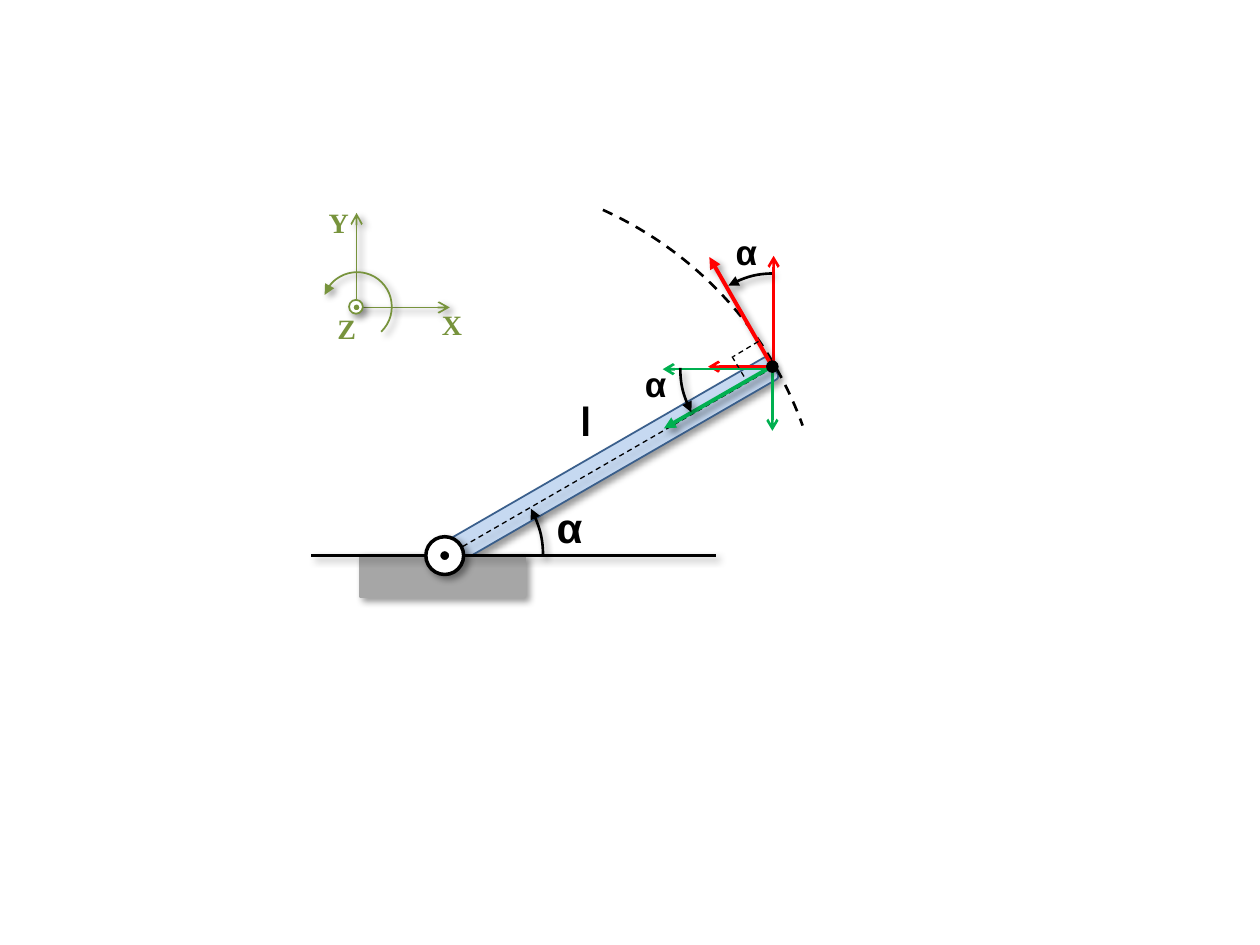
"""Build a slide of a swinging arm with its tangential and radial vectors."""
from lxml import etree
from pptx import Presentation
from pptx.dml.color import RGBColor
from pptx.enum.dml import MSO_LINE
from pptx.enum.shapes import MSO_CONNECTOR, MSO_SHAPE
from pptx.enum.text import MSO_AUTO_SIZE
from pptx.oxml.ns import qn
from pptx.util import Pt

PX = 9144
DASH = MSO_LINE.DASH
STRAIGHT = MSO_CONNECTOR.STRAIGHT
ARC, OVAL, RECT, ROUNDED = (
    MSO_SHAPE.ARC, MSO_SHAPE.OVAL, MSO_SHAPE.RECTANGLE, MSO_SHAPE.ROUNDED_RECTANGLE)
LINE, TEXT = "line", "text"

THEME = {
    "black": "000000", "white": "FFFFFF", "ground": "A6A6A6",
    "arm": "C6D9F1", "arm_edge": "3A5F8C",
    "red": "FF0000", "green": "00B050", "axis": "77933C",
    "hair": 0.75, "thin": 1, "medium": 1.5, "heavy": 2, "vector": 2.25,
    "large": 24, "angle": 20, "small": 16,
}

SHADE = {"shadow": True}
BLACK = {"ink": "black", "width": "medium"}
HAIR = {"ink": "black", "width": "hair", "dash": DASH}
ANGLE = {**BLACK, **SHADE, "head": "triangle"}
COMPONENT = {"width": "medium", "tail": "arrow"}
VECTOR = {"width": "vector", "tail": "triangle", **SHADE}
AXIS = {"ink": "axis", "width": "thin", **SHADE}
BIG_ALPHA = {"text": "α", "size": "large", "face": "Arial", "ink": "black"}
ALPHA = {**BIG_ALPHA, "size": "angle"}
AXIS_NAME = {"size": "small", "face": "Times New Roman", "ink": "axis"}

arm = [
    (ROUNDED, (474, 216, 20, 300),
     {"fill": "arm", "ink": "arm_edge", "width": "thin", "turn": 60, **SHADE}),
    (ARC, (55, 140, 600, 600), {**BLACK, "dash": DASH, "angles": (294.32, 340.08)}),
    (RECT, (286, 441, 130, 32),
     {"fill": "ground", "ink": "ground", "width": "heavy", **SHADE}),
    (LINE, (247, 441, 568, 441), {**BLACK, **SHADE}),
    (TEXT, (432, 393, 41, 50), BIG_ALPHA),
    (TEXT, (451, 308, 35, 50), {**BIG_ALPHA, "text": "l", "face": "Calibri"}),
    (LINE, (613, 292, 353, 442), {**HAIR, **SHADE}),
]
hinge = [
    (OVAL, (338, 426, 30, 30),
     {"fill": "white", "ink": "black", "width": "heavy", **SHADE}),
    (OVAL, (348, 436, 10, 10), {"fill": "black", "ink": "white", "width": "heavy"}),
]
tangential = [
    (LINE, (612, 291, 562, 291), {**COMPONENT, "ink": "red"}),
    (LINE, (614, 290, 614, 203), {**COMPONENT, "ink": "red"}),
    (LINE, (613, 291, 563, 204), {**VECTOR, "ink": "red"}),
    (ARC, (540, 217, 150, 150), {**ANGLE, "angles": (240.54, 268.18)}),
    (TEXT, (574, 178, 38, 44), ALPHA),
]
right_angle = [
    (LINE, (602, 271, 582, 283), HAIR),
    (LINE, (581, 283, 593, 303), HAIR),
]
radial = [
    (LINE, (613, 293, 526, 293), {**COMPONENT, "ink": "green"}),
    (LINE, (613, 292, 613, 342), {**COMPONENT, "ink": "green"}),
    (LINE, (614, 290, 527, 340), {**VECTOR, "ink": "green"}),
    (ARC, (540, 217, 150, 150), {**ANGLE, "angles": (152, 179.93)}),
    (TEXT, (502, 283, 38, 44), ALPHA),
    (OVAL, (608, 286, 10, 10), {"fill": "black"}),
    (ARC, (274, 363, 157, 157), {**ANGLE, "angles": (331.26, 0)}),
]
axes = [
    (LINE, (283, 244, 357, 244), {**AXIS, "tail": "arrow"}),
    (LINE, (283, 243, 283, 169), {**AXIS, "tail": "arrow"}),
    (OVAL, (277, 238, 11, 11), {**AXIS, "fill": "white"}),
    (OVAL, (280, 241, 6, 6), {"fill": "axis", "ink": "white", "width": "thin"}),
    (TEXT, (251, 158, 36, 37), {**AXIS_NAME, "text": "Y"}),
    (TEXT, (341, 239, 36, 37), {**AXIS_NAME, "text": "X"}),
    (TEXT, (258, 242, 35, 37), {**AXIS_NAME, "text": "Z"}),
    (ARC, (256, 216, 55, 55), {**AXIS, "head": "triangle", "angles": (200.1, 46.18)}),
]
layers = [(arm, False), (hinge, True), (tangential, False),
          (right_angle, True), (radial, False), (axes, True)]


def color(name):
    return RGBColor.from_string(THEME[name])


def finish(part, style):
    line = part.line
    if "ink" in style:
        line.color.rgb = color(style["ink"])
        line.width = Pt(THEME[style["width"]])
    else:
        line.fill.background()
    if "dash" in style:
        line.dash_style = style["dash"]
    properties = part._element.spPr
    for end in ("head", "tail"):
        if end in style:
            etree.SubElement(properties.find(qn("a:ln")), qn(f"a:{end}End"), type=style[end])
    effects = etree.SubElement(properties, qn("a:effectLst"))
    if style.get("shadow"):
        shadow = etree.SubElement(
            effects, qn("a:outerShdw"), blurRad=str(Pt(4)), dist=str(Pt(3)),
            dir="2700000", algn="tl", rotWithShape="0")
        tint = etree.SubElement(shadow, qn("a:srgbClr"), val=THEME["black"])
        etree.SubElement(tint, qn("a:alpha"), val="40000")


deck = Presentation()
deck.slide_width, deck.slide_height = 1000 * PX, 750 * PX
page = deck.slides.add_slide(deck.slide_layouts[6])

for parts, grouped in layers:
    shapes = page.shapes.add_group_shape().shapes if grouped else page.shapes
    for kind, place, style in parts:
        lengths = [value * PX for value in place]
        if kind == TEXT:
            box = shapes.add_textbox(*lengths)
            frame = box.text_frame
            frame.word_wrap = False
            frame.auto_size = MSO_AUTO_SIZE.SHAPE_TO_FIT_TEXT
            span = frame.paragraphs[0].add_run()
            span.text = style["text"]
            span.font.color.rgb = color(style["ink"])
            looks = {"name": style["face"], "size": Pt(THEME[style["size"]]), "bold": True}
            for name, value in looks.items():
                setattr(span.font, name, value)
            continue
        if kind == LINE:
            part = shapes.add_connector(STRAIGHT, *lengths)
        else:
            part = shapes.add_shape(kind, *lengths)
            part.rotation = style.get("turn", 0)
            for index, angle in enumerate(style.get("angles", ())):
                part.adjustments[index] = angle * 0.6
            if "fill" in style:
                part.fill.solid()
                part.fill.fore_color.rgb = color(style["fill"])
            else:
                part.fill.background()
        finish(part, style)

deck.save("out.pptx")
